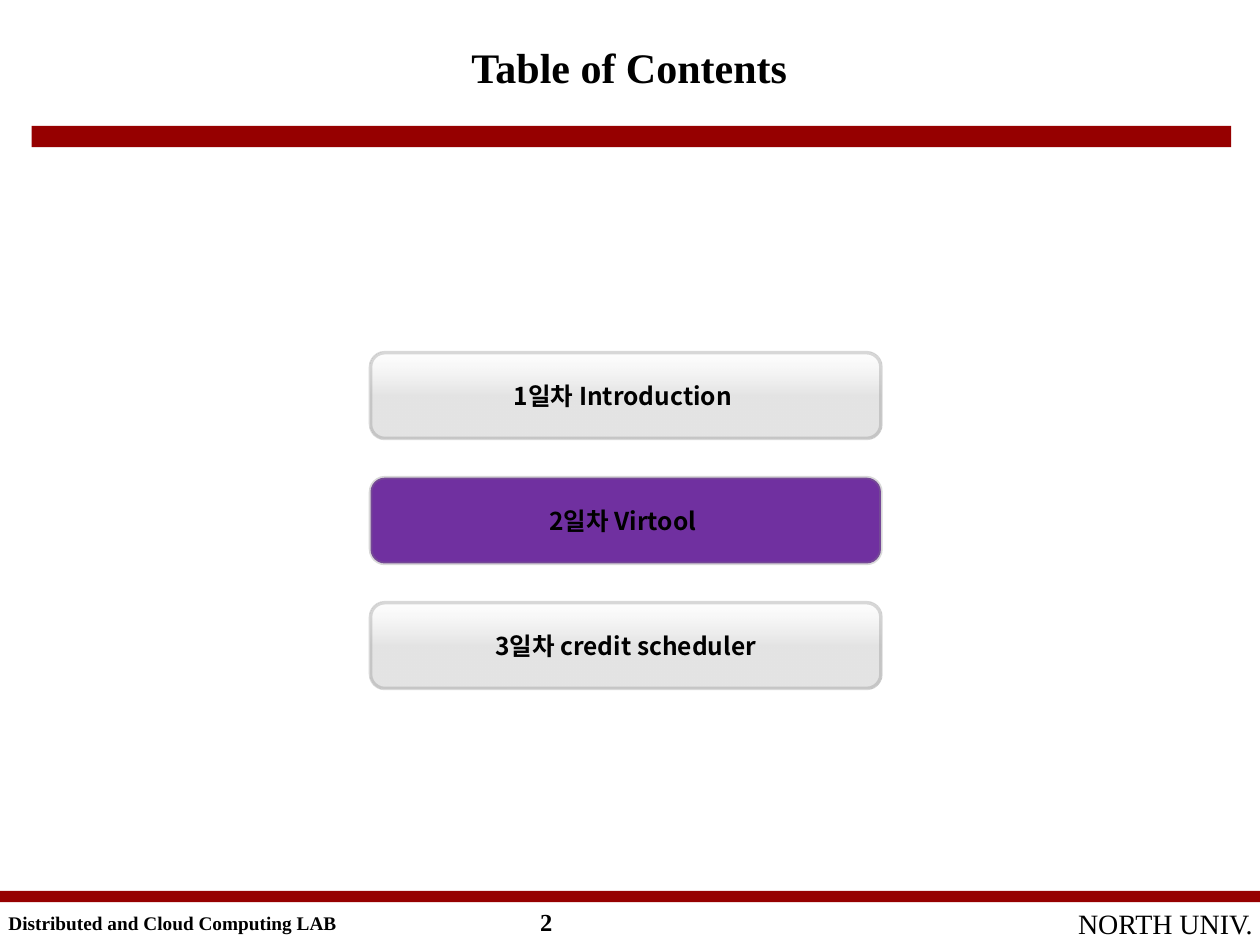
from lxml import etree
from pptx import Presentation, util as u
from pptx.dml.color import RGBColor
from pptx.enum import shapes, text
from pptx.oxml import ns

CRIMSON = RGBColor(0x96, 0x00, 0x00)
PURPLE = RGBColor(0x70, 0x30, 0xA0)
WHITE = RGBColor(0xFF, 0xFF, 0xFF)
SILVER = RGBColor(0xD9, 0xD9, 0xD9)
GRAY = RGBColor(0x80, 0x80, 0x80)
BLACK = RGBColor(0x00, 0x00, 0x00)
SERIF, KOREAN = "Times New Roman", "Noto Sans CJK KR"
CENTER, LEFT = text.PP_ALIGN.CENTER, text.PP_ALIGN.LEFT
MIDDLE, TOP = text.MSO_ANCHOR.MIDDLE, text.MSO_ANCHOR.TOP


def write(holder, words, size, font=SERIF, bold=True, align=LEFT, anchor=TOP, wrap=True):
    frame = holder.text_frame
    frame.word_wrap = wrap
    frame.auto_size = text.MSO_AUTO_SIZE.NONE
    frame.vertical_anchor = anchor
    line = frame.paragraphs[0]
    line.alignment = align
    run = line.add_run()
    run.text = words
    run.font.size, run.font.bold, run.font.name = u.Pt(size), bold, font
    run.font.color.rgb = BLACK
    etree.SubElement(run.font._element, ns.qn("a:ea"), typeface=font)


def place(holder, left, top, width, height):
    holder.left, holder.top = u.Cm(left), u.Cm(top)
    holder.width, holder.height = u.Cm(width), u.Cm(height)


def add_bar(slide, *box):
    bar = slide.shapes.add_shape(shapes.MSO_SHAPE.RECTANGLE, *map(u.Cm, box))
    bar.shadow.inherit = False
    bar.fill.solid()
    bar.fill.fore_color.rgb = CRIMSON
    bar.line.fill.background()


def set_opacity(shape, percents):
    """Apply opacity to the shape's colours in order: fill, then line."""
    colors = shape._element.spPr.iter(ns.qn("a:srgbClr"))
    for color, percent in zip(list(colors), percents):
        etree.SubElement(color, ns.qn("a:alpha"), val=str(percent * 1000))


def add_header(slide, left, top, width):
    heading = slide.shapes.title
    place(heading, left + 8.58, top, 6.93, 1.27)
    write(heading, "Table of Contents", 24, align=CENTER, wrap=False)
    add_bar(slide, left, top + 1.83, width, 0.43)


def add_day(slide, label, current, left, top, width, height):
    day = slide.shapes.add_shape(
        shapes.MSO_SHAPE.ROUNDED_RECTANGLE, *map(u.Cm, (left, top, width, height)))
    day.shadow.inherit = False
    day.line.color.rgb = GRAY
    day.line.width = u.Pt(2)
    if current:
        day.fill.solid()
        day.fill.fore_color.rgb = PURPLE
        set_opacity(day, (100, 30))
    else:
        day.fill.gradient()
        day.fill.gradient_angle = 270
        for stop, color, position in zip(day.fill.gradient_stops, (WHITE, SILVER), (0, 0.5)):
            stop.color.rgb, stop.position = color, position
        set_opacity(day, (50, 70, 30))
    write(day, label, 14, font=KOREAN, align=CENTER, anchor=MIDDLE)


def add_agenda(slide, days, current, left, top, width, height, pitch):
    for row, label in enumerate(days):
        add_day(slide, label, row == current, left, top + row * pitch, width, height)


def add_footer(slide, left, top, width):
    add_bar(slide, left, top, width, 0.23)
    # Lab name, page number, school
    for words, size, bold, align, x, y, w, h in (
        ("Distributed and Cloud Computing LAB", 11, True, LEFT, -0.08, 0.28, 10.44, 0.81),
        ("2", 14, True, LEFT, 10.64, 0.2, 4.39, 0.91),
        ("NORTH UNIV.", 16, False, CENTER, 20.98, 0.2, 5.03, 0.94),
    ):
        note = slide.shapes.add_textbox(0, 0, 0, 0)
        place(note, left + x, top + y, w, h)
        write(note, words, size, bold=bold, align=align)


deck = Presentation()
deck.slide_width, deck.slide_height = u.Cm(25.4), u.Cm(19.05)
contents = deck.slides.add_slide(deck.slide_layouts.get_by_name("Title Only"))

add_header(contents, 0.64, 0.71, 24.18)
add_agenda(contents, ("1일차 Introduction ", "2일차 Virtool ", "3일차 credit scheduler"),
           current=1, left=7.47, top=7.11, width=10.29, height=1.73, pitch=2.52)
add_footer(contents, 0, 17.96, 25.4)

deck.save("out.pptx")
